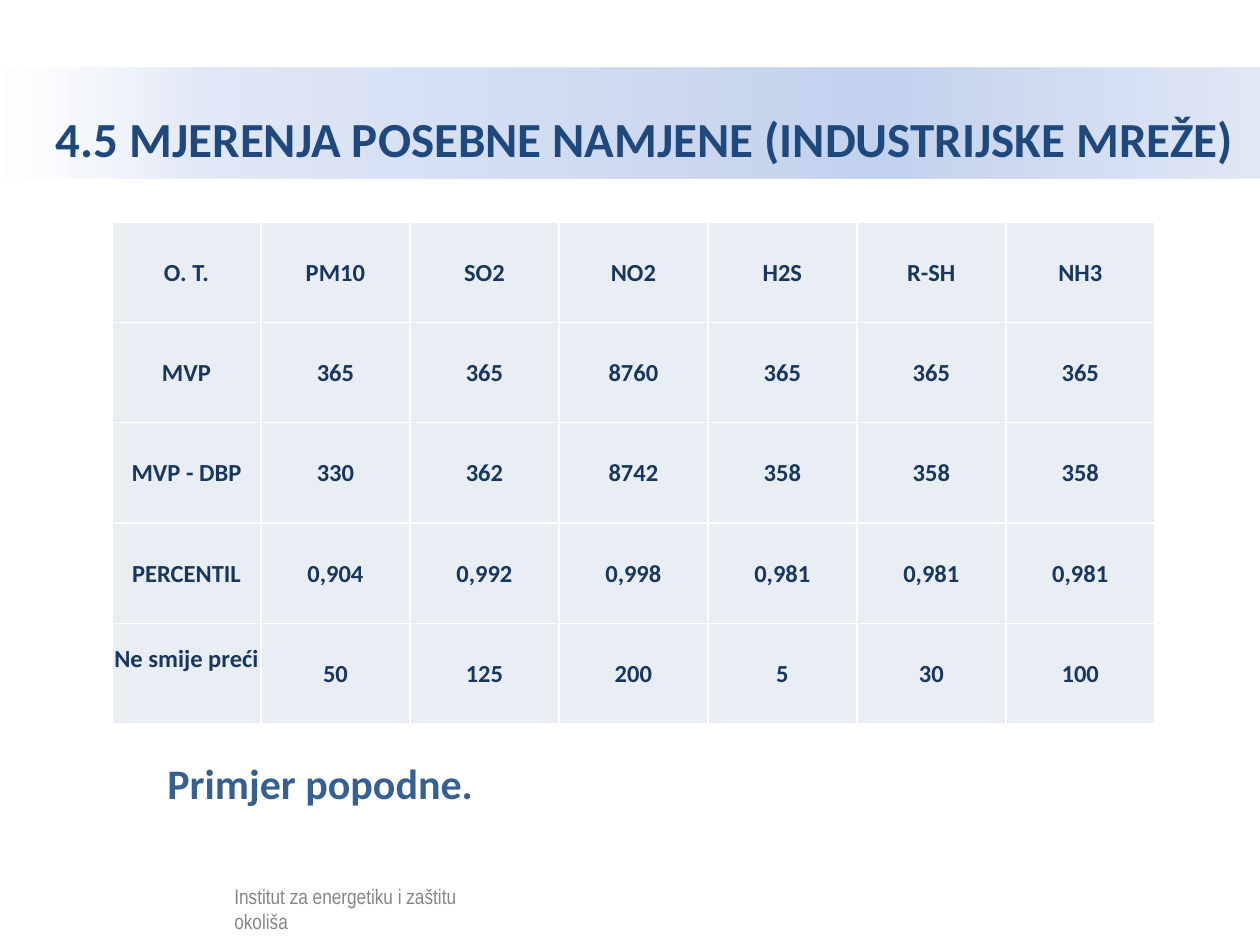
from lxml import etree
from pptx import Presentation
from pptx.dml.color import RGBColor
from pptx.enum.shapes import MSO_SHAPE
from pptx.enum.text import MSO_ANCHOR, PP_ALIGN
from pptx.oxml import parse_xml
from pptx.oxml.ns import nsdecls, qn
from pptx.util import Pt

RECT = MSO_SHAPE.RECTANGLE
MIDDLE = MSO_ANCHOR.MIDDLE
CENTER = PP_ALIGN.CENTER

WHITE = RGBColor(0xFF, 0xFF, 0xFF)
BLACK = RGBColor(0, 0, 0)
TITLE_BLUE = RGBColor(0x1F, 0x49, 0x7D)
CELL_BLUE = RGBColor(0x17, 0x37, 0x5E)
NOTE_BLUE = RGBColor(0x37, 0x60, 0x92)
CELL_FILL = RGBColor(0xE9, 0xED, 0xF4)

# Content
TITLE = "4.5 MJERENJA POSEBNE NAMJENE (INDUSTRIJSKE MREŽE)"
NOTE = "Primjer popodne."
FOOTER = "Institut za energetiku i zaštitu okoliša"
ROWS = [
    ["O. T.", "PM10", "SO2", "NO2", "H2S", "R-SH", "NH3"],
    ["MVP", "365", "365", "8760", "365", "365", "365"],
    ["MVP - DBP", "330", "362", "8742", "358", "358", "358"],
    ["PERCENTIL", "0,904", "0,992", "0,998", "0,981", "0,981", "0,981"],
    ["Ne smije preći", "50", "125", "200", "5", "30", "100"],
]
# Title band: position %, colour, opacity %
BAND_STOPS = [
    (0, WHITE, 52),
    (16, RGBColor(0xE1, 0xE8, 0xF6), 100),
    (70, RGBColor(0xC2, 0xD1, 0xED), 100),
    (100, RGBColor(0xE1, 0xE8, 0xF5), 100),
]

# Places in px: left, top, width, height
SLIDE = (1260, 945)
BAND = (0, 68, 1260, 111)
TITLE_INSET = 56
TABLE = (112, 222, 1043, 502)
NOTE_BOX = (155, 751, 956, 63)
FOOTER_BOX = (222, 877, 263, 32)
VEIL = (52, 873, 481, 60)
VEIL_OPACITY = 52
LAST_LABEL_INSET = 30


def px(n):
    return round(n * 914400 / 126)


def place(box):
    return [px(n) for n in box]


def write(tf, text, font, size, color, bold=False):
    tf.word_wrap = True
    p = tf.paragraphs[0]
    p.text = text
    p.font.name = font
    p.font.size = Pt(size)
    p.font.bold = bold
    p.font.color.rgb = color
    return p


def add_rect(shapes, box):
    s = shapes.add_shape(RECT, *place(box))
    s.shadow.inherit = False
    s.line.fill.background()
    return s


def set_opacity(clr, percent):
    etree.SubElement(clr, qn("a:alpha"), val=str(percent * 1000))


def fill_gradient(s, stops):
    s.fill.gradient()
    s.fill.gradient_angle = 0
    gs_list = s.fill._fill._gradFill.find(qn("a:gsLst"))
    for gs in list(gs_list):
        gs_list.remove(gs)
    for pos, color, opacity in stops:
        gs = etree.SubElement(gs_list, qn("a:gs"), pos=str(pos * 1000))
        clr = etree.SubElement(gs, qn("a:srgbClr"), val=str(color))
        if opacity < 100:
            set_opacity(clr, opacity)


def set_borders(cell, color, width):
    tc_pr = cell._tc.get_or_add_tcPr()
    for i, side in enumerate(("lnL", "lnR", "lnT", "lnB")):
        tc_pr.insert(i, parse_xml(
            f'<a:{side} {nsdecls("a")} w="{Pt(width)}"><a:solidFill>'
            f'<a:srgbClr val="{color}"/></a:solidFill></a:{side}>'))


prs = Presentation()
prs.slide_width, prs.slide_height = place(SLIDE)
slide = prs.slides.add_slide(prs.slide_layouts[6])

# Title band
band = add_rect(slide.shapes, BAND)
fill_gradient(band, BAND_STOPS)
tf = band.text_frame
tf.margin_left, tf.margin_right = px(TITLE_INSET), 0
tf.vertical_anchor = MIDDLE
p = write(tf, TITLE, "Calibri", 28, TITLE_BLUE, bold=True)
p.alignment = PP_ALIGN.LEFT
p.line_spacing = 1.5

# Footer under a translucent veil
group = slide.shapes.add_group_shape()
footer = group.shapes.add_textbox(*place(FOOTER_BOX))
write(footer.text_frame, FOOTER, "Arial Narrow", 12, BLACK)
veil = add_rect(group.shapes, VEIL)
veil.fill.solid()
veil.fill.fore_color.rgb = WHITE
set_opacity(veil.fill._fill._solidFill.find(qn("a:srgbClr")), VEIL_OPACITY)

# Table of measurements
table = slide.shapes.add_table(len(ROWS), len(ROWS[0]), *place(TABLE)).table
table.first_row = table.horz_banding = False
for r, row in enumerate(ROWS):
    for c, text in enumerate(row):
        cell = table.cell(r, c)
        cell.margin_left = cell.margin_right = cell.margin_top = px(1)
        cell.margin_bottom = 0
        cell.vertical_anchor = MIDDLE
        cell.fill.solid()
        cell.fill.fore_color.rgb = CELL_FILL
        set_borders(cell, WHITE, 1)
        p = write(cell.text_frame, text, "Calibri", 14, CELL_BLUE, bold=True)
        p.alignment = CENTER
# The last row's label sits above the middle
table.cell(len(ROWS) - 1, 0).margin_bottom = px(LAST_LABEL_INSET)

# Note below the table
note = slide.shapes.add_textbox(*place(NOTE_BOX))
write(note.text_frame, NOTE, "Calibri", 24, NOTE_BLUE, bold=True)

prs.save("out.pptx")
